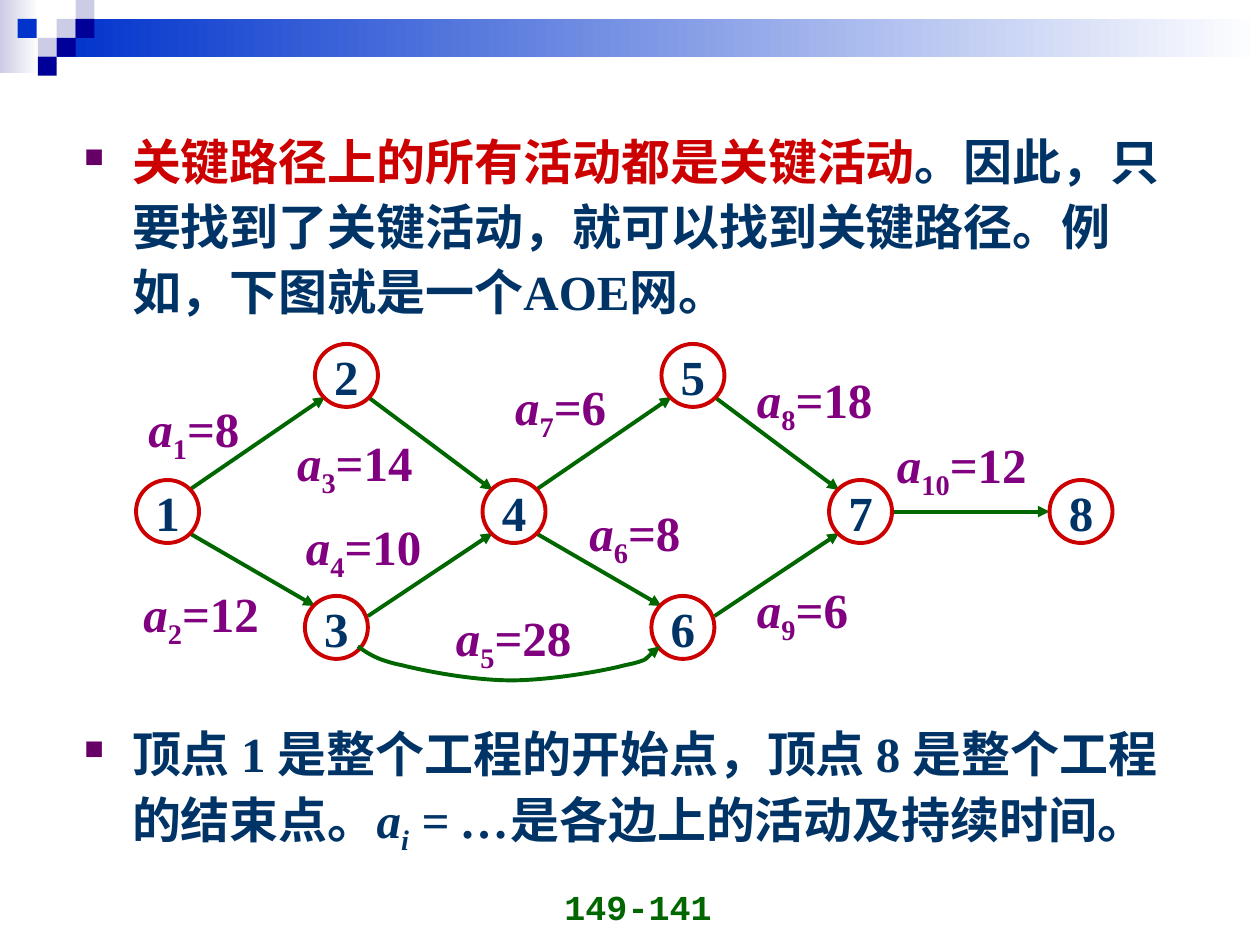
from typing import NamedTuple

from lxml.etree import SubElement
from pptx import Presentation
from pptx.dml.color import RGBColor
from pptx.enum.shapes import MSO_CONNECTOR, MSO_SHAPE
from pptx.enum.text import MSO_ANCHOR, MSO_AUTO_SIZE, PP_ALIGN
from pptx.oxml.ns import qn
from pptx.util import Inches, Pt

HUES = {
    "pale": "CCCCE6", "white": "FFFFFF", "blue": "0033CC", "navy": "000099",
    "green": "006600", "plum": "660066", "red": "CC0000", "ink": "003366",
    "purple": "800080",
}
SERIF = "Times New Roman"
SIZE = 0.5
HALF = SIZE / 2
SLANT = 0.17


class Bit(NamedTuple):
    text: str
    hue: str = "ink"
    italic: bool = False
    sub: bool = False


class Tile(NamedTuple):
    x: float
    y: float
    w: float
    h: float
    hue: str
    fade: bool = False


class Node(NamedTuple):
    x: float
    y: float


class Edge(NamedTuple):
    start: int
    end: int
    out: tuple[float, float]
    into: tuple[float, float]


class Label(NamedTuple):
    num: str
    cost: str
    x: float
    y: float


def tint(name: str) -> RGBColor:
    return RGBColor.from_string(HUES[name])


def put(par, bits: list[Bit], face: str = SERIF, size: int = 28) -> None:
    for bit in bits:
        run = par.add_run()
        run.text = bit.text
        font = run.font
        font.name, font.size, font.bold = face, Pt(size), True
        font.italic = bit.italic
        font.color.rgb = tint(bit.hue)
        if bit.sub:
            run._r.get_or_add_rPr().set("baseline", "-25000")


def add_box(slide, x: float, y: float, w: float, h: float, wrap: bool = True):
    box = slide.shapes.add_textbox(Inches(x), Inches(y), Inches(w), Inches(h))
    box.text_frame.word_wrap = wrap
    return box.text_frame


def add_tile(slide, tile: Tile) -> None:
    shape = slide.shapes.add_shape(
        MSO_SHAPE.RECTANGLE, *map(Inches, (tile.x, tile.y, tile.w, tile.h)))
    shape.shadow.inherit = False
    shape.line.fill.background()
    if tile.fade:
        shape.fill.gradient()
        shape.fill.gradient_angle = 0
        for stop, hue, place in zip(shape.fill.gradient_stops, (tile.hue, "white"), (0, 1)):
            stop.color.rgb = tint(hue)
            stop.position = place
    else:
        shape.fill.solid()
        shape.fill.fore_color.rgb = tint(tile.hue)


def add_note(slide, y: float, h: float, bits: list[Bit]) -> None:
    par = add_box(slide, 0.57, y, 9, h).paragraphs[0]
    par.line_spacing = 1.1
    props = par._p.get_or_add_pPr()
    props.set("marL", str(Inches(0.38)))
    props.set("indent", str(-Inches(0.38)))
    props.set("hangingPunct", "0")
    SubElement(SubElement(props, qn("a:buClr")), qn("a:srgbClr"), val=HUES["plum"])
    SubElement(props, qn("a:buSzPct"), val="55000")
    SubElement(props, qn("a:buChar"), char="■")
    put(par, bits)


def style_line(shape) -> None:
    shape.line.color.rgb = tint("green")
    shape.line.width = Pt(2.25)
    SubElement(shape.line._get_or_add_ln(), qn("a:tailEnd"), type="triangle")


def add_edge(slide, edge: Edge) -> None:
    ends = []
    for num, (dx, dy) in ((edge.start, edge.out), (edge.end, edge.into)):
        node = NODES[num]
        ends += [Inches(node.x + HALF + dx), Inches(node.y + HALF + dy)]
    line = slide.shapes.add_connector(MSO_CONNECTOR.STRAIGHT, *ends)
    style_line(line)
    SubElement(line._element.spPr, qn("a:effectLst"))


def add_node(slide, num: int, node: Node) -> None:
    shape = slide.shapes.add_shape(
        MSO_SHAPE.OVAL, Inches(node.x), Inches(node.y), Inches(SIZE), Inches(SIZE))
    shape.shadow.inherit = False
    shape.fill.solid()
    shape.fill.fore_color.rgb = tint("white")
    shape.line.color.rgb = tint("red")
    shape.line.width = Pt(2.25)
    frame = shape.text_frame
    frame.word_wrap = False
    frame.vertical_anchor = MSO_ANCHOR.MIDDLE
    frame.paragraphs[0].alignment = PP_ALIGN.CENTER
    put(frame.paragraphs[0], [Bit(str(num))])


def add_label(slide, label: Label) -> None:
    width = 0.66 + 0.12 * len(label.num) + 0.19 * len(label.cost)
    frame = add_box(slide, label.x, label.y, width, 0.63, False)
    frame.auto_size = MSO_AUTO_SIZE.SHAPE_TO_FIT_TEXT
    put(frame.paragraphs[0], [
        Bit("a", "purple", True), Bit(label.num, "purple", sub=True),
        Bit("=" + label.cost, "purple")])


def add_curve(slide, start: tuple[float, float], bends: list[tuple[float, float]]) -> None:
    pen = slide.shapes.build_freeform(*map(Inches, start))
    pen.add_line_segments([(Inches(x), Inches(y)) for x, y in bends], close=False)
    shape = pen.convert_to_shape()
    shape.shadow.inherit = False
    shape.fill.background()
    style_line(shape)
    steps = list(shape._element.iter(qn("a:lnTo")))
    for i in range(0, len(steps), 3):
        curve = SubElement(steps[i].getparent(), qn("a:cubicBezTo"))
        for step in steps[i:i + 3]:
            curve.append(step[0])
            step.getparent().remove(step)


STEP = 0.15
TILES = [
    Tile(0, 0, 0.31, 0.58, "pale", True),
    Tile(0.45, STEP, 9.55, 0.3, "blue", True),
    *(Tile(x, row * STEP, STEP, STEP, hue) for x, row, hue in (
        (0.45, 1, "pale"), (0.6, 0, "pale"), (0.6, 1, "navy"), (0.3, 2, "pale"),
        (0.14, 1, "blue"), (0.45, 2, "navy"), (0.3, 3, "navy"))),
]
TOP, MID, LOW = 2.73, 3.81, 4.73
NODES = {
    1: Node(1.08, MID), 2: Node(2.5, TOP), 3: Node(2.42, LOW), 4: Node(3.83, MID),
    5: Node(5.25, TOP), 6: Node(5.17, LOW), 7: Node(6.58, MID), 8: Node(8.33, MID),
}
RISE = ((SLANT, -SLANT), (-SLANT, SLANT))
FALL = ((SLANT, SLANT), (-SLANT, -SLANT))
CLIMB = ((HALF, -0.09), (-SLANT, SLANT))
FLAT = ((HALF, 0), (-HALF, 0))
EDGES = [Edge(a, b, *way) for a, b, way in (
    (1, 2, RISE), (1, 3, FALL), (2, 4, FALL), (3, 4, CLIMB), (4, 5, RISE),
    (4, 6, FALL), (5, 7, FALL), (6, 7, CLIMB), (7, 8, FLAT))]
LABELS = [
    Label("1", "8", 1.08, 3.11), Label("2", "12", 1.04, 4.58),
    Label("3", "14", 2.26, 3.38), Label("4", "10", 2.33, 4.05),
    Label("5", "28", 3.52, 4.77), Label("6", "8", 4.58, 3.94),
    Label("7", "6", 3.99, 2.94), Label("8", "18", 5.91, 2.88),
    Label("9", "6", 5.91, 4.55), Label("10", "12", 7.02, 3.4),
]
BENDS = [
    (2.91, 5.18), (2.99, 5.24), (3.19, 5.28), (3.39, 5.33), (3.76, 5.4), (4.06, 5.4),
    (4.35, 5.4), (4.77, 5.33), (4.96, 5.28), (5.16, 5.24), (5.19, 5.15), (5.24, 5.13),
]


def main() -> None:
    deck = Presentation()
    deck.slide_width, deck.slide_height = Inches(10), Inches(7.5)
    slide = deck.slides.add_slide(deck.slide_layouts[6])
    for tile in TILES:
        add_tile(slide, tile)
    foot = add_box(slide, 3.9, 6.91, 2.33, 0.5)
    foot.vertical_anchor = MSO_ANCHOR.BOTTOM
    foot.paragraphs[0].alignment = PP_ALIGN.CENTER
    put(foot.paragraphs[0], [Bit("149-141", "green")], "Courier New", 20)
    add_note(slide, 0.95, 1.7, [
        Bit("关键路径上的所有活动都是关键活动", "red"),
        Bit("。因此，只要找到了关键活动，就可以找到关键路径。例如，下图就是一个AOE网。")])
    add_note(slide, 5.65, 1.7, [
        Bit("顶点 1 是整个工程的开始点，顶点 8 是整个工程的结束点。"),
        Bit("a", italic=True), Bit("i", italic=True, sub=True),
        Bit(" = …", italic=True), Bit("是各边上的活动及持续时间。")])
    for edge in EDGES:
        add_edge(slide, edge)
    for num, node in NODES.items():
        add_node(slide, num, node)
    for label in LABELS:
        add_label(slide, label)
    add_curve(slide, (2.84, 5.13), BENDS)
    deck.save("out.pptx")


if __name__ == "__main__":
    main()
